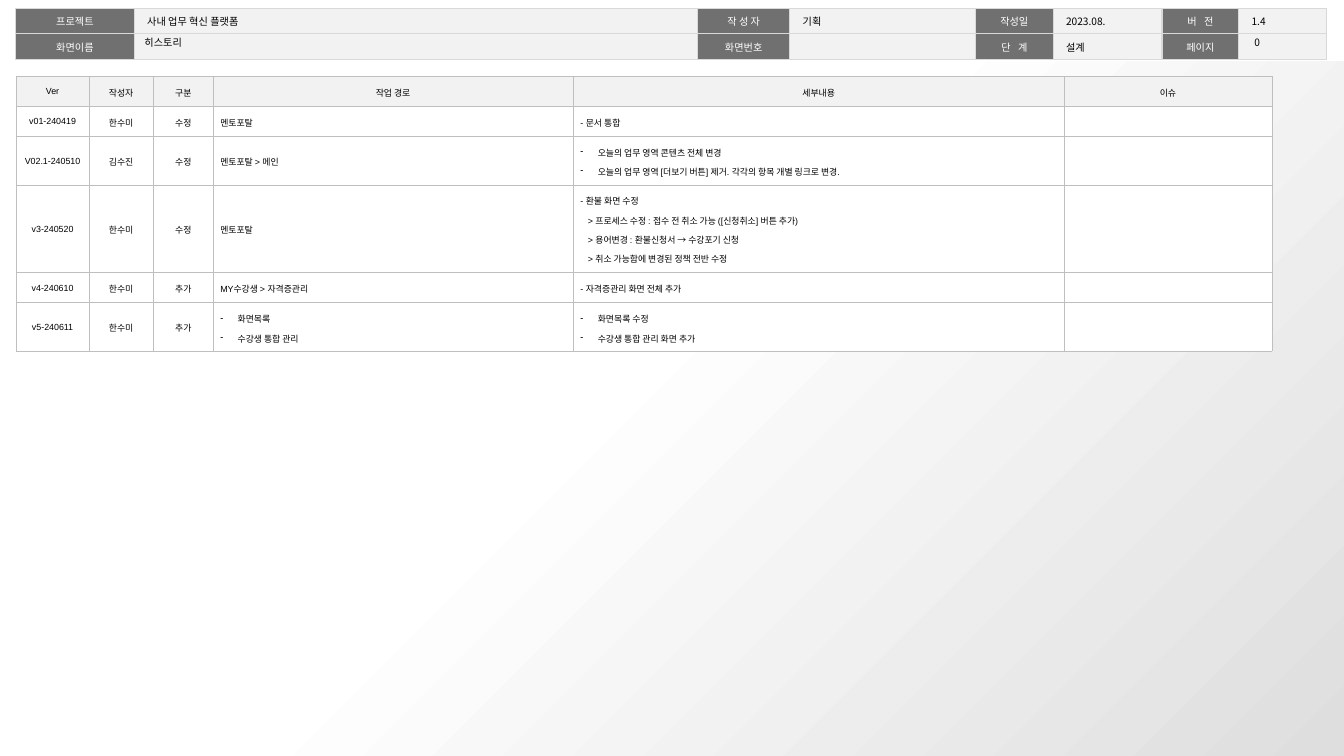
from lxml.etree import SubElement as Sub
from pptx import Presentation
from pptx.dml.color import RGBColor as Rgb
from pptx.enum.shapes import MSO_SHAPE as Shape
from pptx.enum.text import MSO_ANCHOR as Anchor, PP_ALIGN as Align
from pptx.oxml.ns import qn
from pptx.util import Pt

PX = 9144
WIDE, HIGH = 1470, 827
WHITE = Rgb(0xFF, 0xFF, 0xFF)
BLACK = Rgb(0, 0, 0)
DARK = Rgb(0x70, 0x70, 0x70)
PALE = Rgb(0xF2, 0xF2, 0xF2)
SHADE = Rgb(0xDE, 0xDE, 0xDE)
EDGE = Rgb(0xD9, 0xD9, 0xD9)
GRID = Rgb(0xBF, 0xBF, 0xBF)
SANS = "Noto Sans CJK KR"
ARIAL = "Arial"

INFO = [
    ["프로젝트", "사내 업무 혁신 플랫폼", "작 성 자", "기획",
     "작성일", "2023.08.", "버 전", "1.4"],
    ["화면이름", "", "화면번호", "", "단 계", "설계", "페이지", ""],
]
SPACED = ("버 전", "단 계")
LOG = [
    ["Ver", "작성자", "구분", "작업 경로", "세부내용", "이슈"],
    ["v01-240419", "한수미", "수정", "멘토포탈", "- 문서 통합", ""],
    ["V02.1-240510", "김수진", "수정", "멘토포탈 > 메인",
     ["오늘의 업무 영역 콘텐츠 전체 변경",
      "오늘의 업무 영역 [더보기 버튼] 제거. 각각의 항목 개별 링크로 변경."], ""],
    ["v3-240520", "한수미", "수정", "멘토포탈",
     ["- 환불 화면 수정",
      "> 프로세스 수정 : 접수 전 취소 가능 ([신청취소] 버튼 추가)",
      "> 용어변경 : 환불신청서 → 수강포기 신청",
      "> 취소 가능함에 변경된 정책 전반 수정"], ""],
    ["v4-240610", "한수미", "추가", "MY수강생 > 자격증관리",
     "- 자격증관리 화면 전체 추가", ""],
    ["v5-240611", "한수미", "추가", ["화면목록", "수강생 통합 관리"],
     ["화면목록 수정", "수강생 통합 관리 화면 추가"], ""],
]


def scale(box):
    return [v * PX for v in box]


def style(par, size, face, color):
    for run in par.runs:
        run.font.size = Pt(size)
        run.font.name = face
        run.font.color.rgb = color
        Sub(run.font._element, qn("a:ea"), typeface=SANS)
    if not par.runs:
        Sub(par._p, qn("a:endParaRPr"), sz=str(size * 100))


def indent(par, left, mark=None):
    props = par._p.get_or_add_pPr()
    props.set("marL", str(left * PX))
    if mark:
        props.set("indent", str(-left * PX))
        Sub(props, qn("a:buFontTx"))
        Sub(props, qn("a:buChar"), char=mark)


def border(cell, color, width):
    props = cell._tc.get_or_add_tcPr()
    for spot, side in enumerate(("a:lnL", "a:lnR", "a:lnT", "a:lnB")):
        line = props.makeelement(qn(side), {"w": str(int(Pt(width)))})
        props.insert(spot, line)
        fill = Sub(line, qn("a:solidFill"))
        Sub(fill, qn("a:srgbClr"), val=str(color))


def pad(area, left, top, right, low):
    area.margin_left, area.margin_top = left * PX, top * PX
    area.margin_right, area.margin_bottom = right * PX, low * PX


def paint(cell, back, edge, width):
    cell.fill.solid()
    cell.fill.fore_color.rgb = back
    border(cell, edge, width)


def grid(slide, left, top, cols, rows):
    box = scale((left, top, sum(cols), sum(rows)))
    table = slide.shapes.add_table(len(rows), len(cols), *box).table
    table.first_row = table.horz_banding = False
    for col, wide in zip(table.columns, cols):
        col.width = wide * PX
    for row, high in zip(table.rows, rows):
        row.height = high * PX
    return table


def header(slide, left, top):
    cols = [130, 616, 101, 203, 85, 119, 84, 96]
    table = grid(slide, left, top, cols, [28, 28])
    for r, row in enumerate(INFO):
        for c, text in enumerate(row):
            label = c % 2 == 0
            cell = table.cell(r, c)
            pad(cell, 14, 5, 14, 5)
            cell.vertical_anchor = Anchor.MIDDLE
            par = cell.text_frame.paragraphs[0]
            par.text = text
            par.line_spacing = 1.05
            par.alignment = Align.CENTER if label else Align.LEFT
            style(par, 8, SANS, WHITE if label else BLACK)
            if text in SPACED:
                par.runs[0].font._element.set("spc", "200")
            paint(cell, DARK if label else PALE, EDGE, 1)


def backdrop(slide, box):
    panel = slide.shapes.add_shape(Shape.RECTANGLE, *scale(box))
    panel.shadow.inherit = False
    panel.line.fill.background()
    panel.fill.gradient()
    panel.fill.gradient_angle = 315
    stops = panel.fill.gradient_stops
    for stop, spot, color in zip(stops, (0.45, 1), (WHITE, SHADE)):
        stop.position = spot
        stop.color.rgb = color


def note(slide, box, text, side):
    frame = slide.shapes.add_textbox(*scale(box)).text_frame
    frame.word_wrap = True
    frame.vertical_anchor = Anchor.MIDDLE
    pad(frame, side, 5, side, 5)
    frame.text = text
    style(frame.paragraphs[0], 8, SANS, BLACK)


def write(cell, lines, middle):
    frame = cell.text_frame
    frame.text = "\n".join(lines)
    listed = len(lines) > 1 and not lines[0].startswith("-")
    for par in frame.paragraphs:
        par.line_spacing = 1.5
        par.alignment = Align.CENTER if middle else Align.LEFT
        if listed:
            indent(par, 19, "-")
        elif par.text.startswith(">"):
            indent(par, 8)
        style(par, 7, ARIAL, BLACK)


def history(slide, left, top):
    cols = [79, 71, 65, 394, 537, 227]
    table = grid(slide, left, top, cols, [33, 33, 53, 96, 33, 53])
    for r, row in enumerate(LOG):
        for c, item in enumerate(row):
            cell = table.cell(r, c)
            cell.vertical_anchor = Anchor.MIDDLE
            pad(cell, 8, 4, 8, 8)
            lines = item if isinstance(item, list) else [item]
            write(cell, lines, r == 0 or c < 3)
            paint(cell, WHITE if r else PALE, GRID, 0.25)


def main():
    deck = Presentation()
    deck.slide_width, deck.slide_height = WIDE * PX, HIGH * PX
    slide = deck.slides.add_slide(deck.slide_layouts[6])
    header(slide, 17, 9)
    backdrop(slide, (0, 67, WIDE, HIGH - 67))
    note(slide, (1362, 38, 72, 16), "0", 10)
    note(slide, (147, 38, 542, 16), "히스토리", 11)
    history(slide, 18, 83)
    deck.save("out.pptx")


if __name__ == "__main__":
    main()
